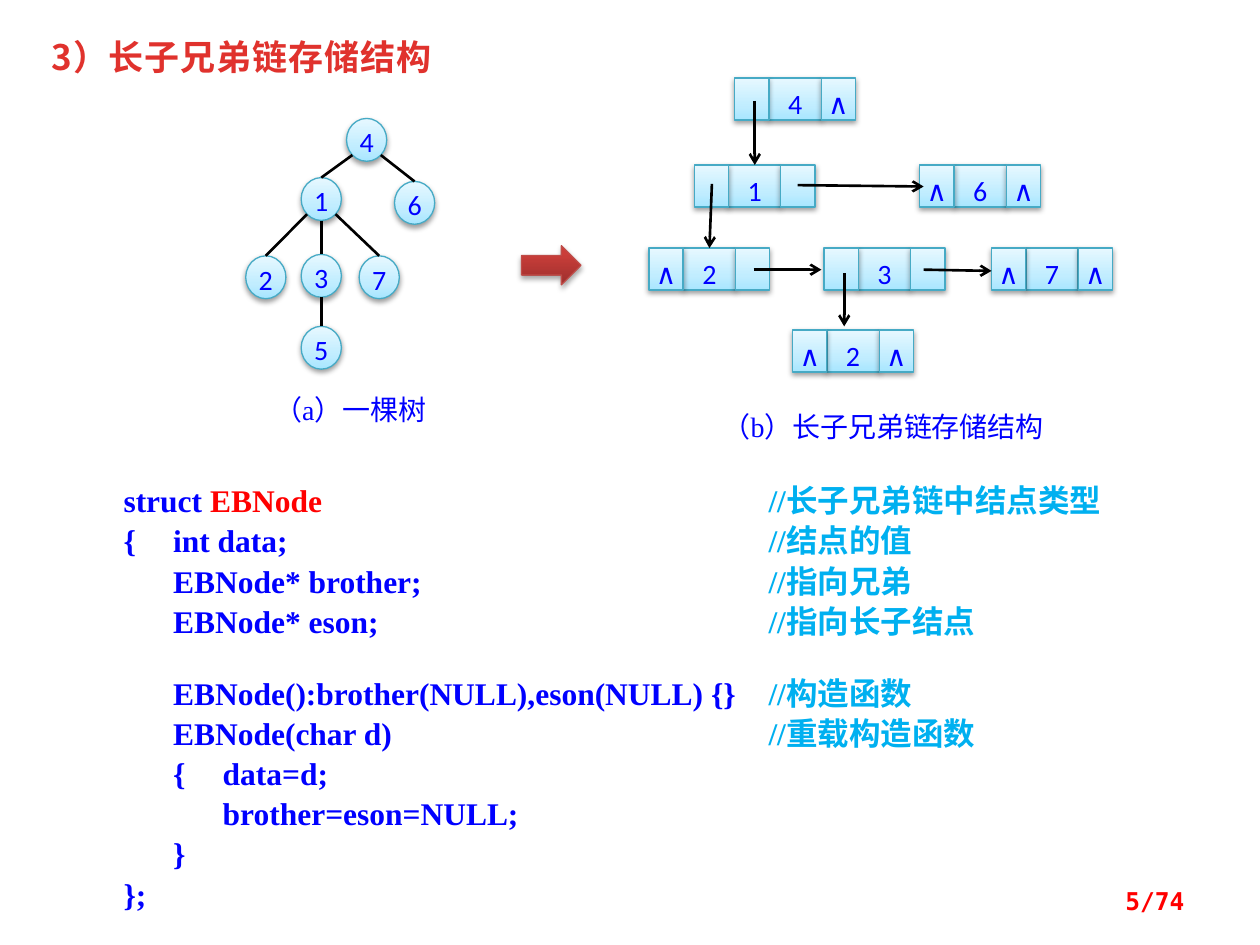
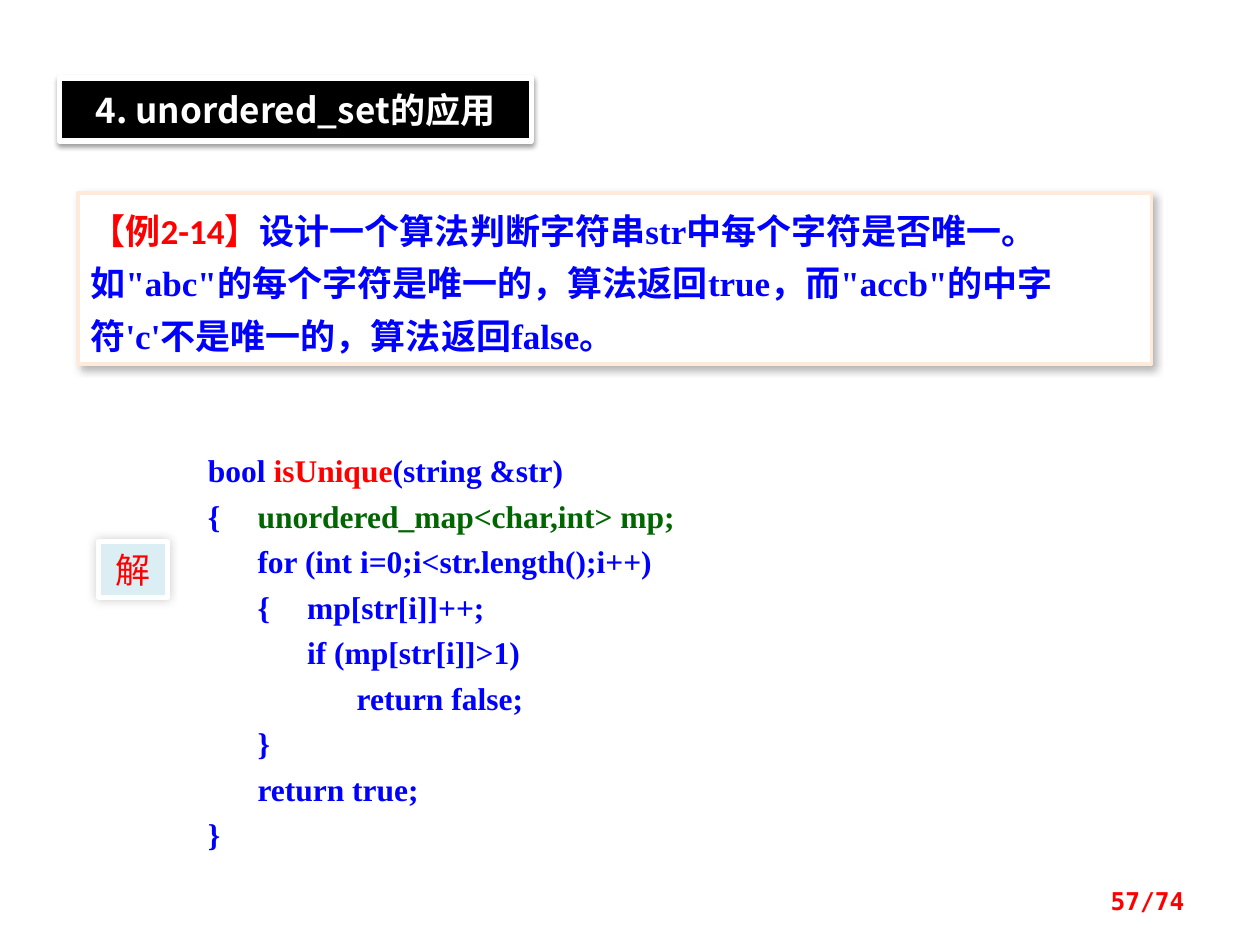
from lxml import etree
from pptx import Presentation, oxml
from pptx.dml.color import RGBColor
from pptx.enum import shapes, text
from pptx.oxml import ns
from pptx.util import Pt

BLUE, RED, SKY, GREEN, WHITE, BLACK = "0000FF", "FF0000", "00B0F0", "006600", "FFFFFF", "000000"
SANS, SERIF, BODY, MONO = "Noto Sans CJK SC", "Times New Roman", "Calibri", "DejaVu Sans Mono"
SOFT_SHADOW = (BLACK, 38, 3.1, 1.6, 90)  # colour, opacity %, blur, distance, angle
NODE = dict(fill=[(0, "A7E6FF"), (35, "C1EDFF"), (100, "E7F8FF")], line="46AAC5",
            shadow=SOFT_SHADOW, inset=(0, 0, 0, 0), align="CENTER")
CAPTION = dict(font=SERIF, inset=(0, 0, 0, 0), align="CENTER")
TAB = 28.35
CODE = dict(fill=WHITE, size=18, font=SERIF, bold=True, tabs=[TAB, 2 * TAB, 3 * TAB, 13 * TAB])
color_of = RGBColor.from_string


def add_box(page, content, left, top, width, height, kind="RECTANGLE", fill=None, line=None,
            line_width=0.75, shadow=None, size=16, font=BODY, color=BLUE, bold=False, align="LEFT",
            anchor="TOP", leading=None, inset=(7.2, 3.6, 7.2, 3.6), tabs=()):
    """Add a text box, or a shape when there is a fill.

    content is a list of paragraphs, each a string or a list of (text, colour) spans;
    a list as fill is a vertical gradient of (percent, colour) stops.
    """
    place = Pt(left), Pt(top), Pt(width), Pt(height)
    if fill is None:
        box = page.shapes.add_textbox(*place)
    else:
        box = page.shapes.add_shape(getattr(shapes.MSO_SHAPE, kind), *place)
        box.shadow.inherit = False
        if isinstance(fill, list):
            box.fill.gradient()
            gradient = box.element.spPr.find(ns.qn("a:gradFill"))
            stops = "".join(f'<a:gs pos="{percent * 1000}"><a:srgbClr val="{stop}"/></a:gs>'
                            for percent, stop in fill)
            gradient.getparent().replace(gradient, oxml.parse_xml(
                f'<a:gradFill {ns.nsdecls("a")} rotWithShape="1"><a:gsLst>{stops}</a:gsLst>'
                '<a:lin ang="16200000" scaled="0"/></a:gradFill>'))
        else:
            box.fill.solid()
            box.fill.fore_color.rgb = color_of(fill)
        if line:
            box.line.color.rgb = color_of(line)
            box.line.width = Pt(line_width)
        else:
            box.line.fill.background()
    if shadow:
        tint, opacity, blur, distance, angle = shadow
        box.element.spPr.find(ns.qn("a:effectLst")).append(oxml.parse_xml(
            f'<a:outerShdw {ns.nsdecls("a")} blurRad="{Pt(blur)}" dist="{Pt(distance)}" '
            f'dir="{angle * 60000}" algn="ctr" rotWithShape="0"><a:srgbClr val="{tint}">'
            f'<a:alpha val="{opacity * 1000}"/></a:srgbClr></a:outerShdw>'))

    frame = box.text_frame
    frame.word_wrap = True
    frame.vertical_anchor = getattr(text.MSO_ANCHOR, anchor)
    frame.margin_left, frame.margin_top, frame.margin_right, frame.margin_bottom = map(Pt, inset)
    for index, spans in enumerate(content):
        para = frame.add_paragraph() if index else frame.paragraphs[0]
        para.alignment = getattr(text.PP_ALIGN, align)
        if leading:
            para.line_spacing = Pt(leading)
        if tabs:
            stops = etree.SubElement(para._p.get_or_add_pPr(), ns.qn("a:tabLst"))
            for stop in tabs:
                etree.SubElement(stops, ns.qn("a:tab"), pos=str(Pt(stop)), algn="l")
        for words, tint in [(spans, color)] if isinstance(spans, str) else spans:
            span = para.add_run()
            span.text = words
            span.font.size, span.font.bold = Pt(size), bold
            span.font.color.rgb = color_of(tint)
            span.font.name = font
            etree.SubElement(span._r.rPr, ns.qn("a:ea"), typeface=SANS)
    return box


def add_line(page, x1, y1, x2, y2, arrow=False):
    link = page.shapes.add_connector(shapes.MSO_CONNECTOR.STRAIGHT, Pt(x1), Pt(y1), Pt(x2), Pt(y2))
    link.line.color.rgb = color_of(BLACK)
    link.line.width = Pt(1.5)
    if arrow:
        etree.SubElement(link.line._get_or_add_ln(), ns.qn("a:tailEnd"), type="arrow")
    etree.SubElement(link.element.spPr, ns.qn("a:effectLst"))


deck = Presentation()
deck.slide_width, deck.slide_height = Pt(720), Pt(540)
storage_page, set_page = [deck.slides.add_slide(deck.slide_layouts[6]) for _ in range(2)]

# Slide 1: a tree and its eldest-son / brother storage
page = storage_page
title = add_box(page, ["3）长子兄弟链存储结构"], 22.3, 16.6, 281.5, 31.7,
                size=20, font=SANS, color="E0322D", bold=True)
title.text_frame.paragraphs[0].runs[0]._r.rPr.set("spc", "50")

tree = {"4": (198, 67.7), "1": (172.1, 101.5), "6": (225.4, 103.7), "2": (140.4, 146.2),
        "3": (172.1, 145.4), "7": (205.2, 146.2), "5": (172.1, 186.5)}
NODE_W, NODE_H = 23, 24.5
for key, (left, top) in tree.items():
    add_box(page, [key], left, top, NODE_W, NODE_H, kind="OVAL", **NODE)
for parent, child in ["41", "46", "12", "13", "17", "35"]:
    (px, py), (cx, cy) = tree[parent], tree[child]
    side = (cx > px) - (cx < px)
    drop = 0.854 if side else 1  # slanted edges leave the oval at 45 degrees
    add_line(page, px + NODE_W * (0.5 + 0.354 * side), py + NODE_H * drop, cx + NODE_W / 2, cy)
add_box(page, ["（a）一棵树"], 151.9, 224.6, 96.5, 23.8, **CAPTION)

add_box(page, [], 298, 140.4, 34, 22.4, kind="RIGHT_ARROW", line="BF4C48",
        fill=[(0, "9C2F2D"), (80, "CB3E3A"), (100, "CE3B37")], shadow=(BLACK, 35, 3.1, 1.8, 90))

POINTER_W, DATA_W, CELL_H = 19.6, 29.9, 24
records = [(419.8, 44.6, "", "4", "∧"), (396.7, 94.3, "", "1", ""), (525.6, 94.3, "∧", "6", "∧"),
           (370.8, 141.8, "∧", "2", ""), (470.9, 141.8, "", "3", ""),
           (566.6, 141.8, "∧", "7", "∧"), (452.9, 188.6, "∧", "2", "∧")]
for left, top, son, data, brother in records:
    for words, offset, width in [(data, POINTER_W, DATA_W), (brother, POINTER_W + DATA_W, POINTER_W),
                                 (son, 0, POINTER_W)]:
        add_box(page, [words] if words else [], left + offset, top, width, CELL_H, leading=24, **NODE)
for ends in [(431.3, 57.6, 431.3, 94.3), (455.8, 105.8, 527.8, 106.6), (406.8, 105.1, 405.4, 141.8),
             (430.6, 154.1, 469.4, 154.1), (527.8, 154.1, 566.6, 154.8), (482.4, 156.2, 482.4, 186.5)]:
    add_line(page, *ends, arrow=True)
add_box(page, ["（b）长子兄弟链存储结构"], 405.4, 229, 198.7, 18.7, leading=24, **CAPTION)

struct_code = [
    [("struct ", BLUE), ("EBNode\t", RED), ("//长子兄弟链中结点类型", SKY)],
    [("{\tint data;\t", BLUE), ("//结点的值", SKY)],
    [("\tEBNode* brother;\t", BLUE), ("//指向兄弟", SKY)],
    [("\tEBNode* eson;\t", BLUE), ("//指向长子结点", SKY)],
    [("\tEBNode():brother(NULL),eson(NULL) {}\t", BLUE), ("//构造函数", SKY)],
    [("\tEBNode(char d)\t", BLUE), ("//重载构造函数", SKY)],
    "\t{\tdata=d;",
    "\t\tbrother=eson=NULL;",
    "\t}",
    "};",
]
listing = add_box(page, struct_code, 56.2, 270, 607.7, 257.8, leading=23,
                  inset=(14.4, 3.6, 7.2, 3.6), **CODE)
listing.text_frame.paragraphs[4].space_before = Pt(18)

# Slide 2: using unordered_set
page = set_page
add_box(page, ["4. unordered_set的应用"], 33.8, 44.6, 270, 36, fill=BLACK, line=WHITE, line_width=3,
        shadow=SOFT_SHADOW, size=20, font=SANS, color=WHITE, bold=True, align="CENTER",
        anchor="MIDDLE", inset=(7.2, 5.8, 7.2, 5.8))
example = add_box(page, [[("【例2-14】", RED), (
    "设计一个算法判断字符串str中每个字符是否唯一。如\"abc\"的每个字符是唯一的，算法返回true，"
    "而\"accb\"的中字符'c'不是唯一的，算法返回false。", BLUE)]],
    44.6, 110.2, 613.4, 97.9, fill=WHITE, line="FDEADA", line_width=2,
    shadow=(BLACK, 30, 4.5, 2.6, 53), size=20, font=SERIF, bold=True, leading=30)
example.text_frame.paragraphs[0].runs[0].font.name = BODY
add_box(page, ["解"], 56.2, 309.6, 39.6, 31.7, fill="DBEEF4", line=WHITE, line_width=3,
        shadow=(BLACK, 20, 6, 0, 225), size=20, font=SANS, color=RED, align="CENTER", anchor="MIDDLE")
unique_code = [
    [("bool ", BLUE), ("isUnique", RED), ("(string &str)", BLUE)],
    [("{\t", BLUE), ("unordered_map<char,int> mp;", GREEN)],
    "\tfor (int i=0;i<str.length();i++)",
    "\t{\tmp[str[i]]++;",
    "\t\tif (mp[str[i]]>1)",
    "\t\t\treturn false;",
    "\t}",
    "\treturn true;",
    "}",
]
add_box(page, unique_code, 101.5, 241.9, 416.2, 254.2, leading=26,
        inset=(17.3, 11.5, 7.2, 8.6), **CODE)

for page, number in [(storage_page, 5), (set_page, 57)]:
    add_box(page, [f"{number}/74"], 516.2, 500.4, 167.8, 28.8, size=14, font=MONO, color=RED,
            bold=True, align="RIGHT", anchor="MIDDLE")

deck.save("out.pptx")
